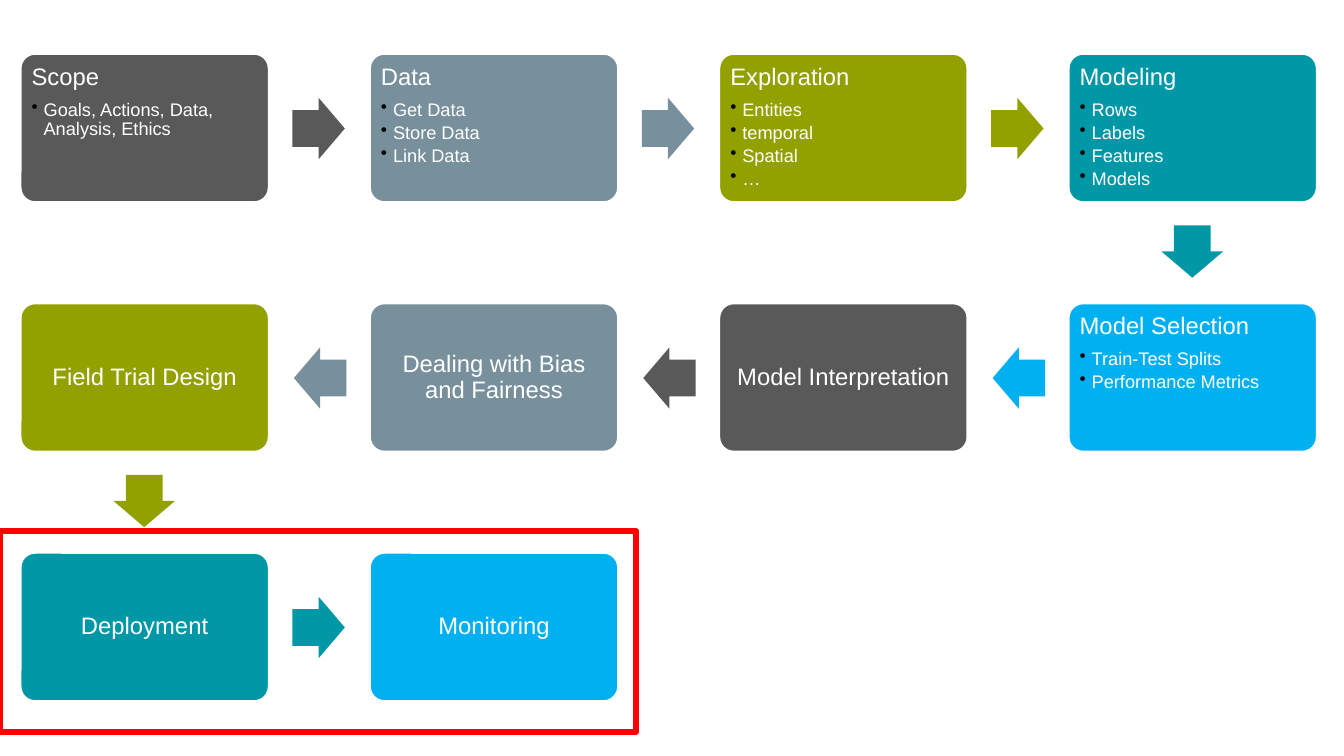
from dataclasses import dataclass

from lxml import etree
from pptx import Presentation
from pptx.dml.color import RGBColor
from pptx.enum.shapes import MSO_SHAPE
from pptx.enum.text import MSO_ANCHOR, PP_ALIGN
from pptx.oxml.ns import qn
from pptx.util import Inches, Pt

ROUNDED, ARROW, RECTANGLE = MSO_SHAPE.ROUNDED_RECTANGLE, MSO_SHAPE.RIGHT_ARROW, MSO_SHAPE.RECTANGLE
TOP, MIDDLE = MSO_ANCHOR.TOP, MSO_ANCHOR.MIDDLE
LEFT, CENTER = PP_ALIGN.LEFT, PP_ALIGN.CENTER


@dataclass(frozen=True)
class Theme:
    """Colours, font and type sizes of the slide."""
    gray: str = "595959"
    slate: str = "78909C"
    olive: str = "92A000"
    teal: str = "0097A7"
    blue: str = "00B0F0"
    white: str = "FFFFFF"
    black: str = "000000"
    red: str = "FF0000"
    font: str = "Arial"
    heading: float = 17
    bullet: float = 13


THEME = Theme()
PALETTE = (THEME.gray, THEME.slate, THEME.olive, THEME.teal, THEME.blue)
COLUMNS = 4
STEP_LEFT, STEP_TOP = 0.2, 0.53
STEP_WIDTH, STEP_HEIGHT = 2.47, 1.48
COLUMN_PITCH, ROW_PITCH = 3.465, 2.475
ARROW_SIZE = (0.52, 0.61)
ARROWS = {"right": (2.7, 0.44, 0), "left": (-0.75, 0.44, 180), "down": (0.97, 1.66, 90)}
HIGHLIGHT = (0, 5.27, 6.31, 1.99)
STEPS = (
    ("Scope", ("Goals, Actions, Data, Analysis, Ethics",)),
    ("Data", ("Get Data", "Store Data", "Link Data")),
    ("Exploration", ("Entities", "temporal", "Spatial", "…")),
    ("Modeling", ("Rows", "Labels", "Features", "Models")),
    ("Model Selection", ("Train-Test Splits", "Performance Metrics")),
    ("Model Interpretation", ()),
    ("Dealing with Bias and Fairness", ()),
    ("Field Trial Design", ()),
    ("Deployment", ()),
    ("Monitoring", ()),
)


def apply(target, values):
    """Set each attribute of the target from a dict."""
    for name, value in values.items():
        setattr(target, name, value)


def add_shape(page, kind, box, fill=None, line=None, weight=0):
    """Draw a preset shape with an optional fill and outline."""
    shape = page.shapes.add_shape(kind, *map(Inches, box))
    shape.shadow.inherit = False
    if fill:
        shape.fill.solid()
        shape.fill.fore_color.rgb = RGBColor.from_string(fill)
    else:
        shape.fill.background()
    if line:
        shape.line.color.rgb = RGBColor.from_string(line)
        shape.line.width = Pt(weight)
    else:
        shape.line.fill.background()
    return shape


def add_bullet(para):
    """Give a paragraph a hanging black bullet."""
    properties = para._p.get_or_add_pPr()
    properties.set("marL", str(Inches(0.12)))
    properties.set("indent", str(-Inches(0.12)))
    color = etree.SubElement(properties, qn("a:buClr"))
    etree.SubElement(color, qn("a:srgbClr"), val=THEME.black)
    etree.SubElement(properties, qn("a:buChar"), char="•")


def write_line(para, text, size, after, align):
    """Fill one paragraph with white text."""
    apply(para, {"line_spacing": 0.9, "space_after": Pt(after), "alignment": align})
    span = para.add_run()
    span.text = text
    apply(span.font, {"name": THEME.font, "size": Pt(size)})
    span.font.color.rgb = RGBColor.from_string(THEME.white)


def add_step(page, box, color, heading, bullets):
    """Draw a process step with its heading and bullets."""
    shape = add_shape(page, ROUNDED, box, color, THEME.white, 2)
    shape.adjustments[0] = 0.1
    frame = shape.text_frame
    sides = ("left", "right", "top", "bottom")
    apply(frame, {f"margin_{side}": Inches(0.07) for side in sides})
    apply(frame, {"word_wrap": True, "vertical_anchor": TOP if bullets else MIDDLE})
    write_line(frame.paragraphs[0], heading, THEME.heading, 7, LEFT if bullets else CENTER)
    for bullet in bullets:
        para = frame.add_paragraph()
        para.level = 1
        add_bullet(para)
        write_line(para, bullet, THEME.bullet, 2.4, LEFT)


def add_arrow(page, box, color, direction):
    """Draw the arrow that leaves a step box."""
    across, down, rotation = ARROWS[direction]
    arrow = add_shape(page, ARROW, (box[0] + across, box[1] + down, *ARROW_SIZE), color)
    arrow.adjustments[0] = 0.6
    arrow.adjustments[1] = 0.5
    arrow.rotation = rotation


def add_process(page, left, top):
    """Lay the steps out in a winding path of rows."""
    for index, (heading, bullets) in enumerate(STEPS):
        row, place = divmod(index, COLUMNS)
        backward = row % 2 == 1
        column = COLUMNS - 1 - place if backward else place
        box = (left + column * COLUMN_PITCH, top + row * ROW_PITCH, STEP_WIDTH, STEP_HEIGHT)
        color = PALETTE[index % len(PALETTE)]
        add_step(page, box, color, heading, bullets)
        if index < len(STEPS) - 1:
            turn = place == COLUMNS - 1
            direction = "down" if turn else "left" if backward else "right"
            add_arrow(page, box, color, direction)


def main():
    """Build the process slide and save the deck."""
    deck = Presentation()
    apply(deck, {"slide_width": Inches(13.33), "slide_height": Inches(7.5)})
    page = deck.slides.add_slide(deck.slide_layouts[6])
    add_process(page, STEP_LEFT, STEP_TOP)
    add_shape(page, RECTANGLE, HIGHLIGHT, line=THEME.red, weight=4.5)
    deck.save("out.pptx")


if __name__ == "__main__":
    main()
